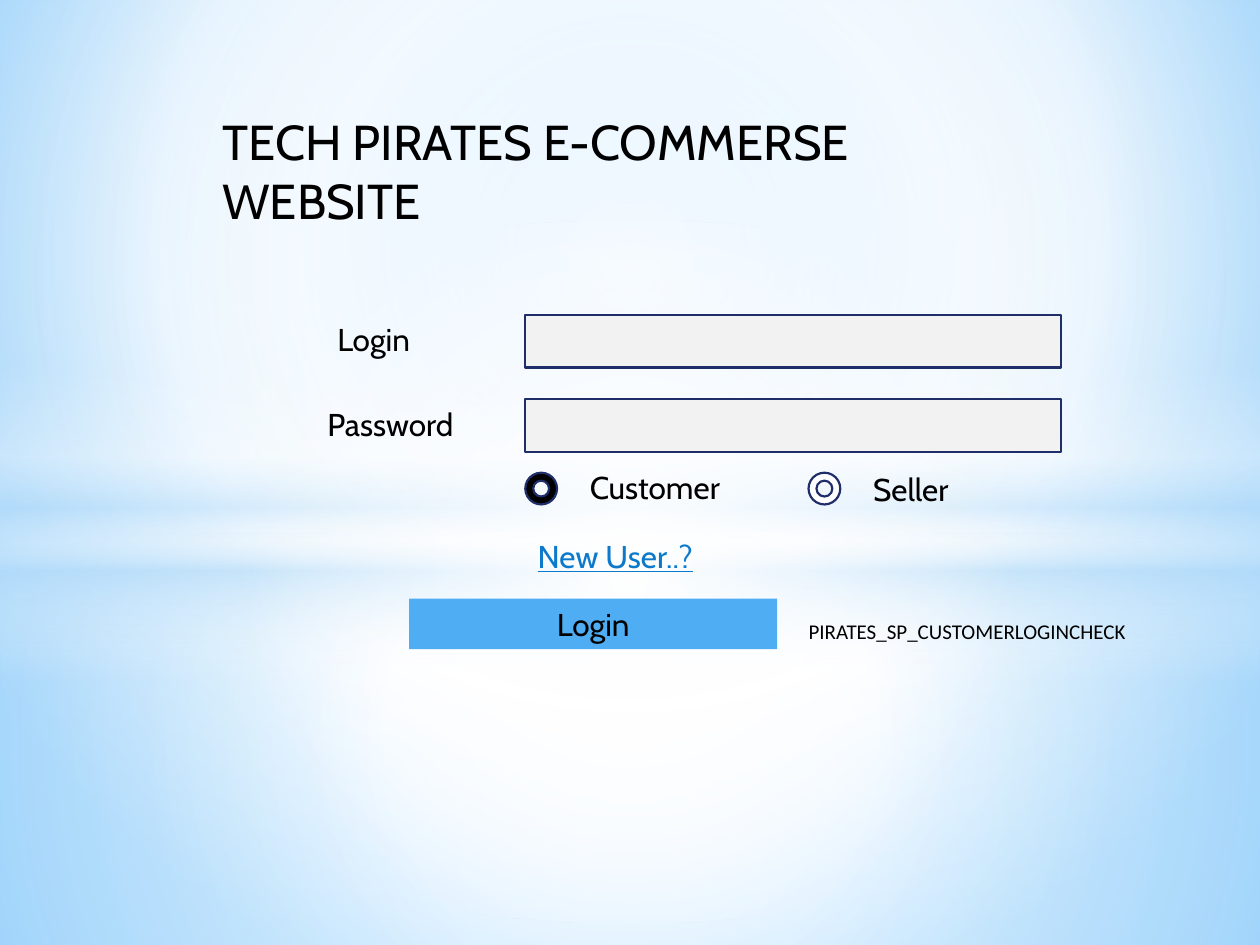
from lxml.etree import SubElement
from pptx import Presentation
from pptx.dml.color import RGBColor
from pptx.enum.shapes import MSO_SHAPE as Shape
from pptx.enum.text import MSO_ANCHOR as Anchor, MSO_AUTO_SIZE as AutoSize, PP_ALIGN as Align
from pptx.oxml.ns import qn
from pptx.util import Cm, Pt

WIDTH, HEIGHT = 25.4, 19.05
CENTRE = (50, 50, 50, 50)


def colour(code):
    return RGBColor.from_string(code)


def set_gradient(fill, holder, stops, focus=None, angle=0):
    """Fill with (position, colour, opacity) stops; focus makes it radial."""
    fill.gradient()
    gradient = holder.xpath(".//a:gradFill")[0]
    for child in list(gradient):
        gradient.remove(child)
    stop_list = SubElement(gradient, qn("a:gsLst"))
    for position, code, opacity in stops:
        stop = SubElement(stop_list, qn("a:gs"), pos=str(position * 1000))
        tint = SubElement(stop, qn("a:srgbClr"), val=code)
        if opacity < 100:
            SubElement(tint, qn("a:alpha"), val=str(opacity * 1000))
    if focus:
        radial = SubElement(gradient, qn("a:path"), {"path": "circle"})
        sides = {side: str(share * 1000) for side, share in zip("ltrb", focus)}
        SubElement(radial, qn("a:fillToRect"), sides)
    else:
        SubElement(gradient, qn("a:lin"), ang=str(angle * 60000), scaled="0")


class LoginPage:
    """Holds the style and the current slide."""

    body = {"name": "Cabin", "size": Pt(18)}
    heading = {"name": "Cabin", "size": Pt(28), "bold": False}
    note = {"name": "Calibri", "size": Pt(12)}
    ink, outline, link_ink = "000000", "1F2E69", "0D79CA"

    def __init__(self, deck):
        self.page = deck.slides.add_slide(deck.slide_layouts[5])

    def background(self, stops, focus):
        set_gradient(self.page.background.fill, self.page.element, stops, focus)

    def add_text(self, frame, text, style, code=None, align=Align.LEFT):
        para = frame.paragraphs[0]
        para.alignment = align
        span = para.add_run()
        span.text = text
        for name, value in style.items():
            setattr(span.font, name, value)
        span.font.color.rgb = colour(code or self.ink)

    def shape(self, kind, left, top, width, height, fill=None, line=None):
        box = self.page.shapes.add_shape(kind, Cm(left), Cm(top), Cm(width), Cm(height))
        box.shadow.inherit = False
        if fill:
            box.fill.solid()
            box.fill.fore_color.rgb = colour(fill)
        if line:
            box.line.color.rgb = colour(line)
            box.line.width = Pt(1.25)
        else:
            box.line.fill.background()
        return box

    def glow(self, kind, top, height, stops, **direction):
        box = self.shape(kind, 0, top, WIDTH, height)
        set_gradient(box.fill, box.element, stops, **direction)

    def title(self, text, left, top, width, height):
        box = self.page.shapes.title
        box.left, box.top, box.width, box.height = map(Cm, (left, top, width, height))
        box.element.getparent().append(box.element)  # in front of the backdrop
        frame = box.text_frame
        frame.word_wrap = True
        frame.auto_size = AutoSize.NONE
        frame.vertical_anchor = Anchor.TOP
        self.add_text(frame, text, self.heading)

    def label(self, text, left, top, width, height=1.02, style=None, code=None):
        box = self.page.shapes.add_textbox(Cm(left), Cm(top), Cm(width), Cm(height))
        box.text_frame.word_wrap = False
        box.text_frame.auto_size = AutoSize.SHAPE_TO_FIT_TEXT
        self.add_text(box.text_frame, text, style or self.body, code)

    def field(self, left, top):
        self.shape(Shape.RECTANGLE, left, top, 10.8, 1.06, "F2F2F2", self.outline)

    def radio(self, left, top, fill):
        self.shape(Shape.DONUT, left, top, 0.64, 0.64, fill, self.outline)

    def button(self, text, left, top, width, height):
        box = self.shape(Shape.RECTANGLE, left, top, width, height, "4FADF3")
        box.text_frame.vertical_anchor = Anchor.MIDDLE
        self.add_text(box.text_frame, text, self.body, align=Align.CENTER)


def main():
    deck = Presentation()
    deck.slide_width, deck.slide_height = Cm(WIDTH), Cm(HEIGHT)
    login = LoginPage(deck)

    white, sky = "FFFFFF", "B4DCFA"
    login.background([(0, "9ED5FF", 100), (60, white, 100), (100, "5BB9FF", 100)],
                     (20, 10, 20, 60))
    horizon = 10.74
    login.glow(Shape.RECTANGLE, horizon, HEIGHT - horizon,
               [(0, white, 91), (37, white, 76), (100, sky, 79)], focus=CENTRE)
    login.glow(Shape.RECTANGLE, 0, horizon,
               [(0, white, 89), (48, white, 62), (100, sky, 79)], focus=CENTRE)
    login.glow(Shape.RECTANGLE, 7.37, 6.35,
               [(0, white, 0), (29, white, 30), (45, sky, 40),
                (55, white, 26), (65, sky, 60), (100, white, 0)], angle=90)
    login.glow(Shape.OVAL, 4.45, 14.17, [(0, white, 100), (54, white, 0)], focus=CENTRE)

    login.title("TECH PIRATES E-COMMERSE WEBSITE", 4.23, 2.12, 16.74, 2.64)

    form_left = 10.59
    for text, left, top, width, field_top in (
            ("Login", 6.55, 6.33, 2.03, 6.35),
            ("Password", 6.35, 8.05, 3.12, 8.05)):
        login.label(text, left, top, width)
        login.field(form_left, field_top)

    for text, left, top, width, fill in (
            ("Customer", form_left, 9.32, 3.23, "000000"),
            ("Seller", 16.3, 9.35, 2.16, white)):
        login.radio(left, 9.53, fill)
        login.label(text, left + 1.05, top, width)

    login.label("New User..?", form_left, 10.7, 3.84,
                style={**login.body, "underline": True}, code=login.link_ink)
    login.button("Login", 8.25, 12.07, 7.42, 1.02)
    login.label("PIRATES_SP_CUSTOMERLOGINCHECK", 16.05, 12.35, 6.99, 0.76, login.note)

    deck.save("out.pptx")


if __name__ == "__main__":
    main()
